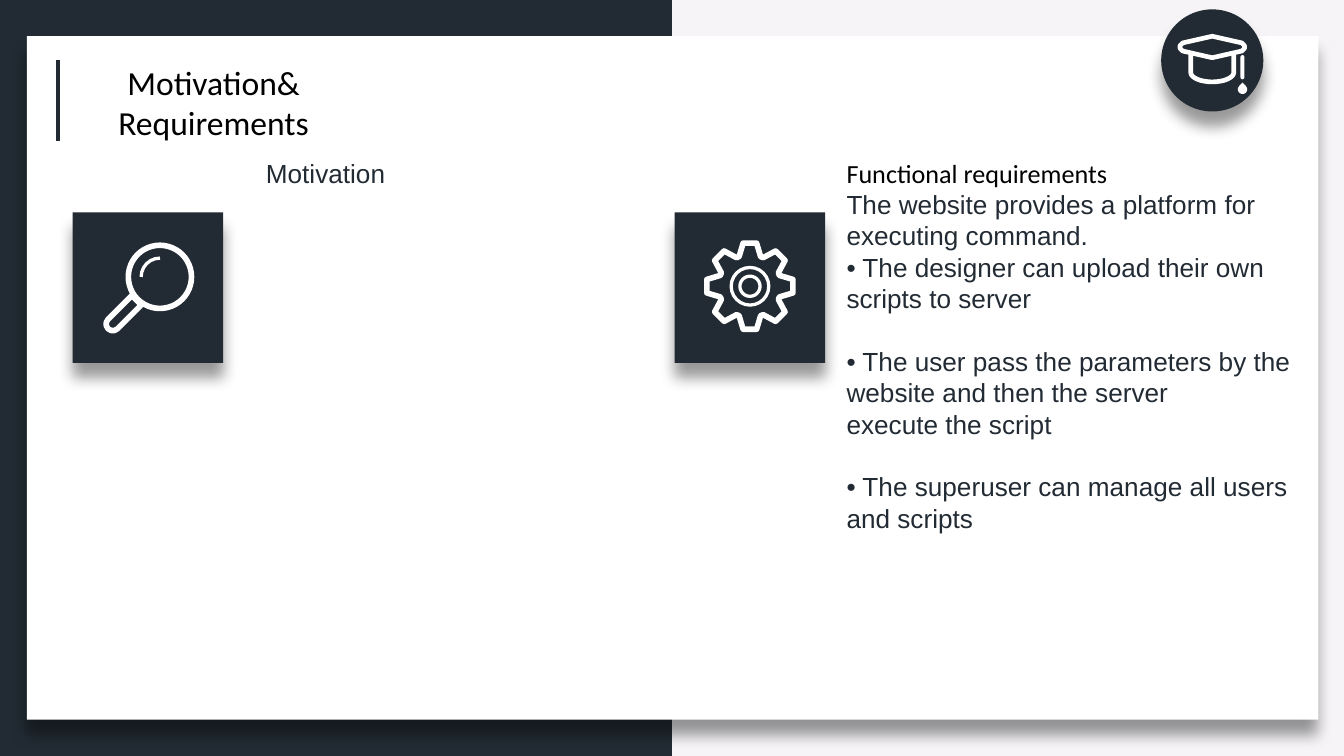
from math import cos, sin, pi
from lxml import etree
from pptx import Presentation
from pptx.dml.color import RGBColor
from pptx.enum.shapes import MSO_CONNECTOR, MSO_SHAPE
from pptx.enum.text import PP_ALIGN
from pptx.oxml import parse_xml
from pptx.oxml.ns import qn
from pptx.util import Inches, Pt

NAVY = RGBColor(0x22, 0x2B, 0x34)
PALE = RGBColor(0xF6, 0xF4, 0xF7)
WHITE = RGBColor(0xFF, 0xFF, 0xFF)
BLACK = RGBColor(0x00, 0x00, 0x00)

SHADOW = (
    '<a:effectLst xmlns:a="http://schemas.openxmlformats.org/drawingml/2006/main">'
    '<a:outerShdw blurRad="101600" dist="101600" dir="5400000" algn="t" rotWithShape="0">'
    '<a:srgbClr val="000000"><a:alpha val="40000"/></a:srgbClr>'
    '</a:outerShdw></a:effectLst>'
)
BODY_LINE = Pt(16.8)
SLIDE_WIDTH = 10
SLIDE_HEIGHT = SLIDE_WIDTH * 9 / 16


def add_solid(slide, kind, left, top, width, height, color, shadow=False):
    solid = slide.shapes.add_shape(
        kind, Inches(left), Inches(top), Inches(width), Inches(height))
    solid.fill.solid()
    solid.fill.fore_color.rgb = color
    solid.line.fill.background()
    if shadow:
        solid._element.spPr.append(parse_xml(SHADOW))
    else:
        solid.shadow.inherit = False
    return solid


def stroke_white(outline, weight):
    outline.fill.background()
    outline.line.color.rgb = WHITE
    outline.line.width = Pt(weight)
    outline.shadow.inherit = False
    return outline


def add_outline(slide, kind, center_x, center_y, width, height, weight):
    outline = slide.shapes.add_shape(
        kind, Inches(center_x - width / 2), Inches(center_y - height / 2),
        Inches(width), Inches(height))
    return stroke_white(outline, weight)


def add_path(slide, points, weight, close):
    corners = [(Inches(x), Inches(y)) for x, y in points]
    builder = slide.shapes.build_freeform(*corners[0])
    builder.add_line_segments(corners[1:], close=close)
    return stroke_white(builder.convert_to_shape(), weight)


def add_text(slide, left, top, width, height, lines, size, wrap=True):
    frame = slide.shapes.add_textbox(
        Inches(left), Inches(top), Inches(width), Inches(height)).text_frame
    frame.word_wrap = wrap
    for index, (text, font_name, color) in enumerate(lines):
        paragraph = frame.paragraphs[0] if index == 0 else frame.add_paragraph()
        paragraph.text = text
        paragraph.font.name = font_name
        paragraph.font.size = Pt(size)
        paragraph.font.color.rgb = color
    return frame.paragraphs


def add_backdrop(slide, width, height):
    slide.background.fill.solid()
    slide.background.fill.fore_color.rgb = PALE
    add_solid(slide, MSO_SHAPE.RECTANGLE, 0, 0, width / 2, height, NAVY)
    add_solid(slide, MSO_SHAPE.RECTANGLE, 0.2, 0.27, width - 0.39, height - 0.54, WHITE, True)


def add_title(slide, left, top, width, height):
    accent = slide.shapes.add_connector(
        MSO_CONNECTOR.STRAIGHT, Inches(left + 0.8), Inches(top + 0.04),
        Inches(left + 0.8), Inches(top + 0.64))
    accent.line.color.rgb = NAVY
    accent.line.width = Pt(2.25)
    etree.SubElement(accent._element.spPr, qn("a:effectLst"))
    lines = [(text, "Calibri", BLACK) for text in ("Motivation&", "Requirements")]
    for paragraph in add_text(slide, left, top, width, height, lines, 18):
        paragraph.alignment = PP_ALIGN.CENTER


def add_cap_badge(slide, left, top, size):
    add_solid(slide, MSO_SHAPE.OVAL, left, top, size, size, NAVY, True)
    cap_x = left + size / 2
    board_y = top + 0.28
    board = [(-0.24, -0.01), (-0.22, -0.03), (0, -0.08), (0.22, -0.03),
             (0.24, -0.01), (0.24, 0.01), (0.22, 0.03), (0, 0.08),
             (-0.22, 0.03), (-0.24, 0.01)]
    add_path(slide, [(cap_x + x, board_y + y) for x, y in board], 2.5, True)
    rim_y = top + 0.47
    bowl = [(cap_x - 0.16 * cos(pi * step / 16), rim_y + 0.07 * sin(pi * step / 16))
            for step in range(17)]
    bowl = [(cap_x - 0.16, top + 0.34), *bowl, (cap_x + 0.16, top + 0.34)]
    add_path(slide, bowl, 2.5, False)
    cord = add_solid(slide, MSO_SHAPE.ROUNDED_RECTANGLE,
                     left + 0.59, top + 0.34, 0.03, 0.18, WHITE)
    cord.adjustments[0] = 0.5
    tassel = add_solid(slide, MSO_SHAPE.TEAR, left + 0.57, top + 0.56, 0.07, 0.07, WHITE)
    tassel.rotation = -45


def add_magnifier(slide, left, top):
    lens_x, lens_y = left + 0.65, top + 0.48
    add_outline(slide, MSO_SHAPE.OVAL, lens_x, lens_y, 0.47, 0.47, 3)
    handle = add_outline(slide, MSO_SHAPE.ROUND_2_SAME_RECTANGLE,
                         lens_x - 0.28, lens_y + 0.28, 0.1, 0.3, 3)
    handle.adjustments[0] = 0.5
    handle.rotation = 225
    glint = add_outline(slide, MSO_SHAPE.ARC, lens_x, lens_y, 0.28, 0.28, 1.75)
    glint.rotation = -90


def add_gear(slide, left, top):
    hub_x, hub_y = left + 0.56, top + 0.55
    tooth = [(-0.08, -0.22), (-0.05, -0.32), (0.05, -0.32), (0.08, -0.22)]
    rim = []
    for index in range(8):
        turn = index * pi / 4
        rim += [(hub_x + x * cos(turn) - y * sin(turn),
                 hub_y + x * sin(turn) + y * cos(turn)) for x, y in tooth]
    add_path(slide, rim, 3, True)
    for diameter in (0.28, 0.15):
        add_outline(slide, MSO_SHAPE.OVAL, hub_x, hub_y, diameter, diameter, 1.75)


def add_icon_tile(slide, left, top, size, draw_icon):
    add_solid(slide, MSO_SHAPE.RECTANGLE, left, top, size, size, NAVY, True)
    draw_icon(slide, left, top)


def add_motivation(slide, left, top):
    add_icon_tile(slide, left, top + 0.46, 1.12, add_magnifier)
    add_text(slide, left + 1.34, top, 1.09, 0.34,
             [("Motivation", "Arial", NAVY)], 14, wrap=False)


def add_requirements(slide, left, top):
    add_icon_tile(slide, left, top + 0.46, 1.12, add_gear)
    details = [
        "The website provides a platform for executing command.",
        "• The designer can upload their own scripts to server",
        "• The user pass the parameters by the website and then the server",
        "execute the script",
        "• The superuser can manage all users and scripts",
    ]
    lines = [("Functional requirements", "Calibri", BLACK)]
    lines += [(detail, "Arial", NAVY) for detail in details]
    paragraphs = add_text(slide, left + 1.18, top, 3.69, 3.16, lines, 14)
    for paragraph in paragraphs:
        paragraph.line_spacing = BODY_LINE
    for index in (3, 5):
        paragraphs[index].space_before = BODY_LINE


def main():
    presentation = Presentation()
    presentation.slide_width = Inches(SLIDE_WIDTH)
    presentation.slide_height = Inches(SLIDE_HEIGHT)
    slide = presentation.slides.add_slide(presentation.slide_layouts[6])
    add_backdrop(slide, SLIDE_WIDTH, SLIDE_HEIGHT)
    add_cap_badge(slide, 8.64, 0.07, 0.76)
    add_title(slide, -0.37, 0.41, 3.92, 0.71)
    add_motivation(slide, 0.54, 1.12)
    add_requirements(slide, 5.02, 1.12)
    presentation.save("out.pptx")


if __name__ == "__main__":
    main()
